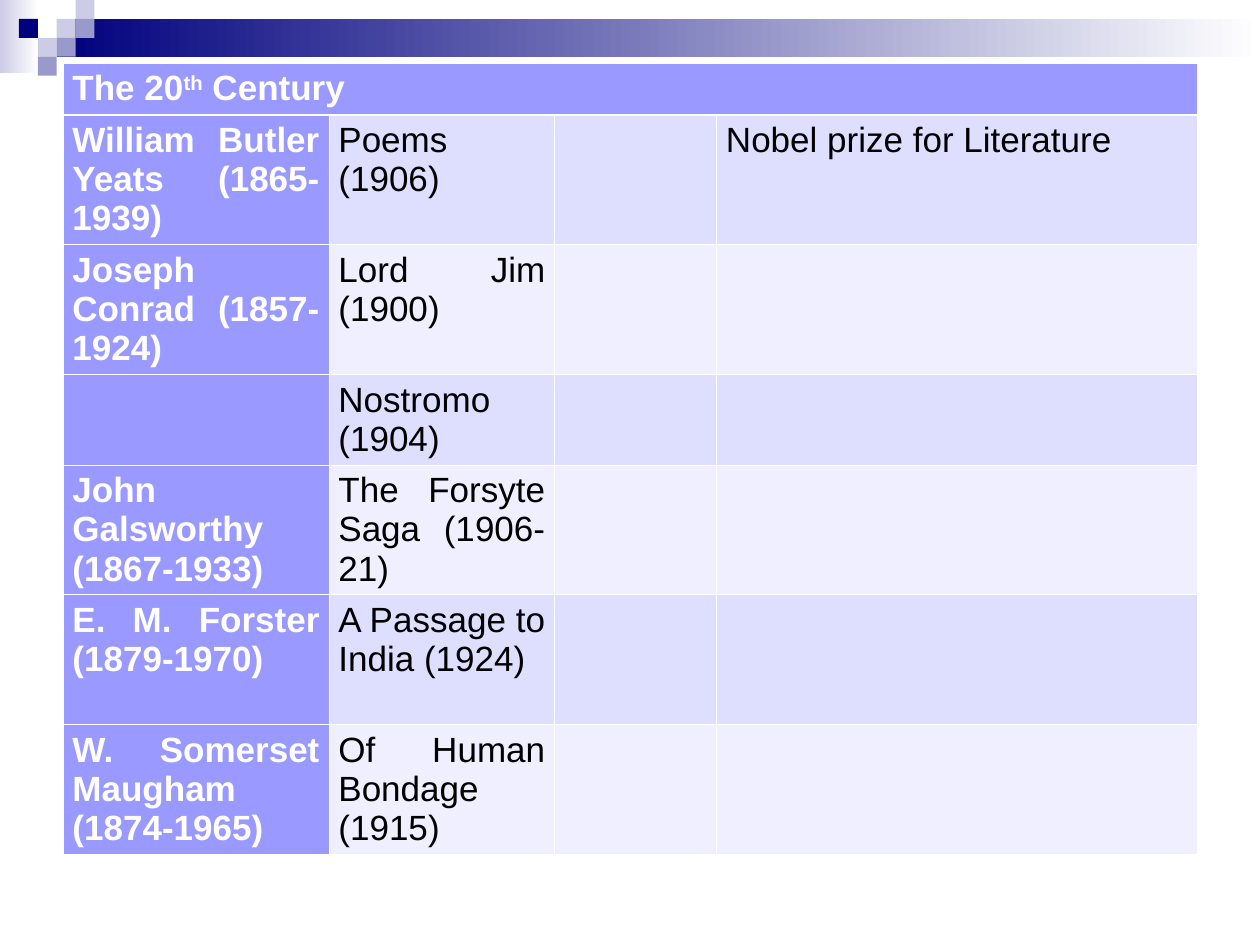
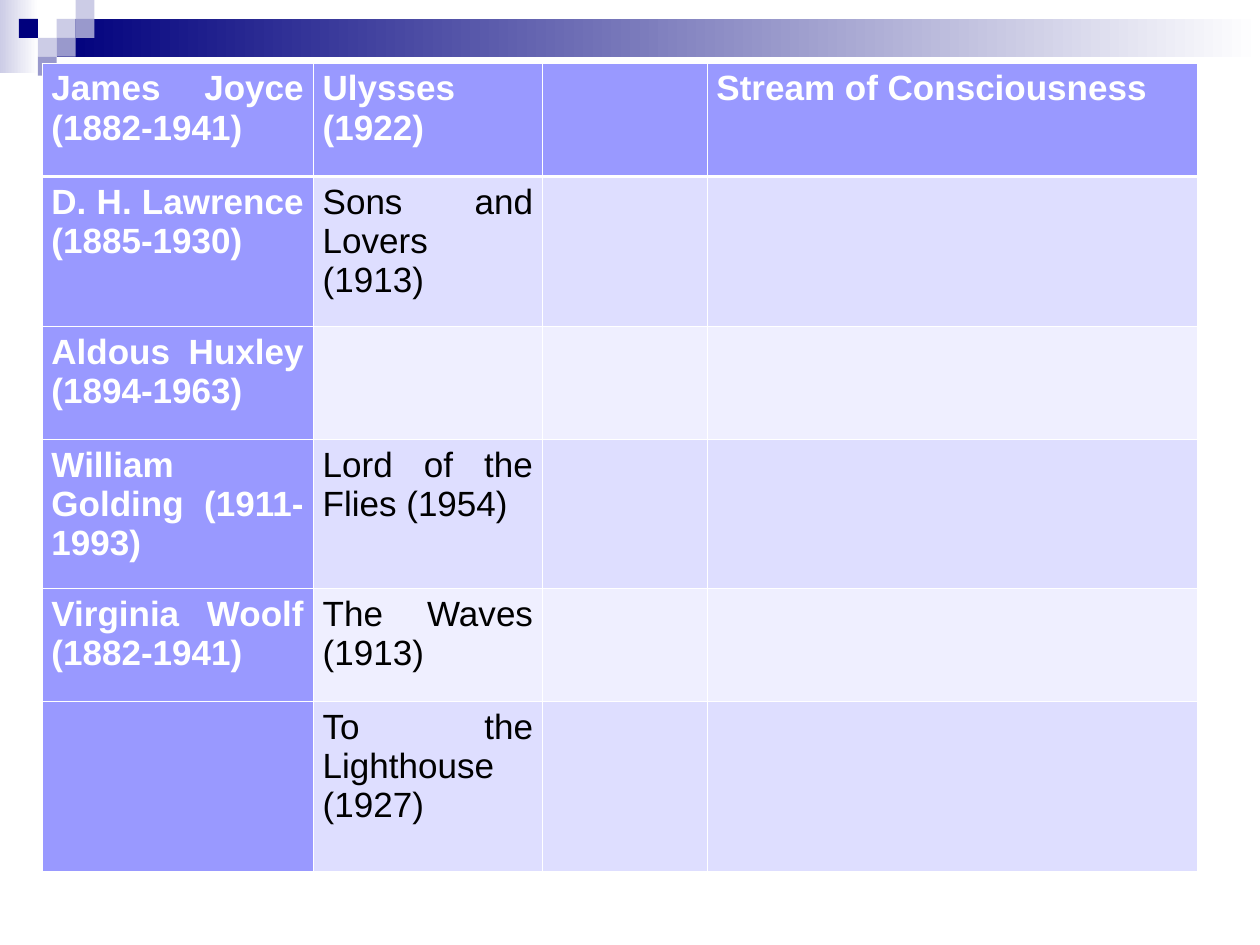
from lxml import etree
from pptx import Presentation
from pptx.dml.color import RGBColor
from pptx.enum.shapes import MSO_SHAPE as Shape
from pptx.enum.text import PP_ALIGN as Align
from pptx.oxml.ns import qn
from pptx.util import Pt

# Content: a tuple cell holds base text, superscript, base text
TWENTIETH_CENTURY = {
    "left": 36,
    "columns": [152, 129, 92.5, 274.5],
    "heights": [29, 74, 74, 51.5, 74, 74, 74],
    "title_row": True,
    "rows": [
        [("The 20", "th", " Century")],
        ["William Butler Yeats (1865-1939)", "Poems (1906)", "",
         "Nobel prize for Literature"],
        ["Joseph Conrad (1857-1924)", "Lord Jim (1900)"],
        ["", "Nostromo (1904)"],
        ["John Galsworthy (1867-1933)", "The Forsyte Saga (1906-21)"],
        ["E. M. Forster (1879-1970)", "A Passage to India (1924)"],
        ["W. Somerset Maugham (1874-1965)", "Of Human Bondage (1915)"],
    ],
}
MODERNISTS = {
    "left": 24,
    "columns": [155, 131, 94, 280],
    "heights": [64.8, 85.5, 64.8, 85, 64.8, 97],
    "title_row": False,
    "rows": [
        ["James Joyce (1882-1941)", "Ulysses (1922)", "",
         "Stream of Consciousness"],
        ["D. H. Lawrence (1885-1930)", "Sons and Lovers (1913)"],
        ["Aldous Huxley (1894-1963)"],
        ["William Golding (1911-1993)", "Lord of the Flies (1954)"],
        ["Virginia Woolf (1882-1941)", "The Waves (1913)"],
        ["", "To the Lighthouse (1927)"],
    ],
}

# Shared look
NAVY, LILAC, MAUVE = "00007D", "CCCCE6", "9999CC"
WHITE, BLACK = "FFFFFF", "000000"
HEADING, BANDS = "9999FF", ("EFEFFF", "DEDEFF")
TABLE_TOP = 36
HAIRLINE, HEADER_RULE = 0.45, 1.47
TILE = 10.8
BARS = [(0, 0, 22, 42, LILAC), (32.4, TILE, 687.6, 21.6, NAVY)]
TILES = [(3, 1, LILAC), (4, 0, LILAC), (4, 1, MAUVE), (2, 2, LILAC),
         (1, 1, NAVY), (3, 2, MAUVE), (2, 3, MAUVE)]


def color(hex_string):
    return RGBColor.from_string(hex_string)


def add_block(slide, left, top, width, height):
    block = slide.shapes.add_shape(Shape.RECTANGLE, Pt(left), Pt(top),
                                   Pt(width), Pt(height))
    block.shadow.inherit = False
    block.line.fill.background()
    return block


def decorate_master(master, slide):
    """Draw the bars and tiles, then move them to the slide master."""
    for *box, start in BARS:
        fill = add_block(slide, *box).fill
        fill.gradient()
        fill.gradient_angle = 0
        for stop, shade in zip(fill.gradient_stops, (start, WHITE)):
            stop.color.rgb = color(shade)
    for column, row, shade in TILES:
        fill = add_block(slide, column * TILE, row * TILE, TILE, TILE).fill
        fill.solid()
        fill.fore_color.rgb = color(shade)
    for number, block in enumerate(list(slide.shapes), start=100):
        block.element.xpath(".//p:cNvPr")[0].set("id", str(number))
        master.shapes.element.append(block.element)


def set_borders(cell, row):
    widths = {"L": HAIRLINE, "R": HAIRLINE,
              "T": HEADER_RULE if row == 1 else HAIRLINE,
              "B": HEADER_RULE if row == 0 else HAIRLINE}
    properties = cell._tc.get_or_add_tcPr()
    for side, width in widths.items():
        border = etree.SubElement(properties, qn(f"a:ln{side}"), w=str(Pt(width)))
        paint = etree.SubElement(border, qn("a:solidFill"))
        etree.SubElement(paint, qn("a:srgbClr"), val=WHITE)


def write_cell(cell, words, is_heading):
    paragraph = cell.text_frame.paragraphs[0]
    paragraph.alignment = Align.JUSTIFY
    font = paragraph.font
    font.name, font.size, font.bold = "Arial", Pt(20), is_heading
    font.color.rgb = color(WHITE if is_heading else BLACK)
    parts = words if isinstance(words, tuple) else (words,)
    for position, part in enumerate(parts):
        run = paragraph.add_run()
        run.text = part
        if position == 1:
            run.font._element.set("baseline", "30000")


def add_author_table(slide, content):
    columns, heights = content["columns"], content["heights"]
    table = slide.shapes.add_table(
        len(heights), len(columns), Pt(content["left"]), Pt(TABLE_TOP),
        Pt(sum(columns)), Pt(sum(heights))).table
    table.first_col = True
    for column, width in zip(table.columns, columns):
        column.width = Pt(width)
    for row, (height, texts) in enumerate(zip(heights, content["rows"])):
        table.rows[row].height = Pt(height)
        for column in range(len(columns)):
            cell = table.cell(row, column)
            is_heading = row == 0 or column == 0
            cell.margin_left = cell.margin_right = Pt(5.4)
            cell.margin_top = cell.margin_bottom = Pt(3.6)
            set_borders(cell, row)
            cell.fill.solid()
            cell.fill.fore_color.rgb = color(
                HEADING if is_heading else BANDS[row % 2])
            if column < len(texts) and texts[column]:
                write_cell(cell, texts[column], is_heading)
    if content["title_row"]:
        table.cell(0, 0).merge(table.cell(0, len(columns) - 1))


def main():
    deck = Presentation()
    deck.slide_width, deck.slide_height = Pt(720), Pt(540)
    blank = deck.slide_layouts[6]
    pages = [(deck.slides.add_slide(blank), content)
             for content in (TWENTIETH_CENTURY, MODERNISTS)]
    decorate_master(deck.slide_master, pages[0][0])
    for slide, content in pages:
        add_author_table(slide, content)
    deck.save("out.pptx")


if __name__ == "__main__":
    main()
